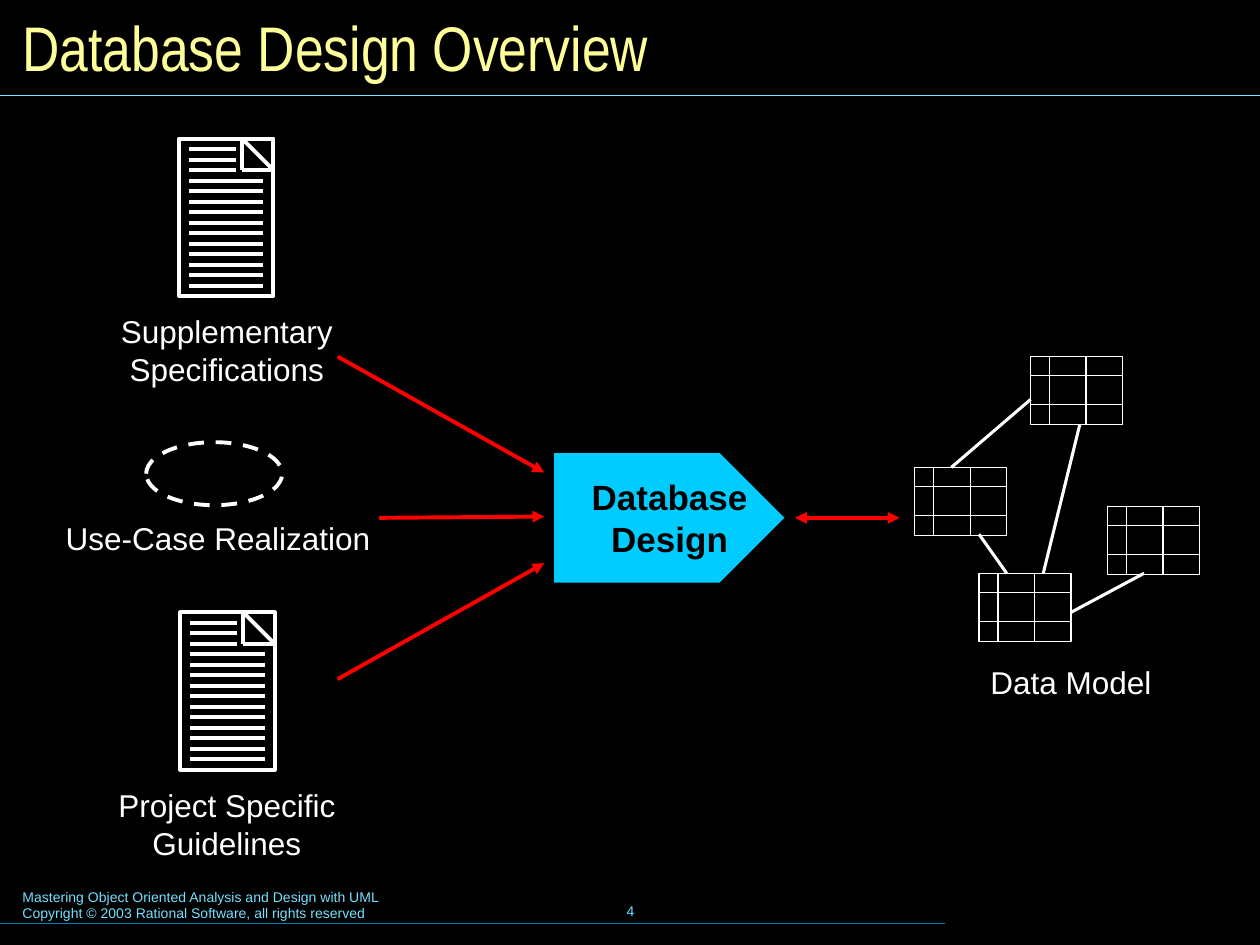
from lxml.etree import SubElement
from pptx import Presentation
from pptx.dml.color import RGBColor
from pptx.enum.dml import MSO_LINE
from pptx.enum.shapes import MSO_CONNECTOR, MSO_SHAPE
from pptx.enum.text import MSO_ANCHOR as ANCHOR, PP_ALIGN as ALIGN
from pptx.oxml.ns import qn
from pptx.util import Inches, Pt

COLORS = {
    "background": "000000", "title": "FFFF99", "footer": "73E1FF", "footer_rule": "007E9F",
    "ink": "FFFFFF", "process": "00CCFF", "process_ink": "000000", "flow": "FF0000",
}


def color(name):
    return RGBColor.from_string(COLORS[name])


class SlideBuilder:
    """Draws styled elements on the current slide or the current group."""

    def __init__(self, slide, font="Arial"):
        self.slide = slide
        self.font = font
        self.shapes = slide.shapes
        slide.background.fill.solid()
        slide.background.fill.fore_color.rgb = color("background")

    def start_group(self):
        self.shapes = self.slide.shapes.add_group_shape().shapes

    def end_group(self):
        self.shapes = self.slide.shapes

    def set_text(self, shape, lines, size, ink, align=ALIGN.LEFT, anchor=ANCHOR.TOP,
                 wrap=False, bold=False, font=None, inset=(0.1, 0.05)):
        frame = shape.text_frame
        frame.word_wrap = wrap
        frame.vertical_anchor = anchor
        frame.margin_left = frame.margin_right = Inches(inset[0])
        frame.margin_top = frame.margin_bottom = Inches(inset[1])
        for index, line in enumerate(lines):
            paragraph = frame.add_paragraph() if index else frame.paragraphs[0]
            paragraph.alignment = align
            for part_index, part in enumerate(line.split("\n")):
                if part_index:
                    paragraph.add_line_break()
                run = paragraph.add_run()
                run.text = part
                run.font.name = font or self.font
                run.font.size = Pt(size)
                run.font.bold = bold
                run.font.color.rgb = color(ink)

    def text(self, left, top, width, height, lines, size=18, ink="ink", **options):
        box = self.shapes.add_textbox(Inches(left), Inches(top), Inches(width), Inches(height))
        self.set_text(box, lines, size, ink, **options)

    def line(self, start, end, ink="ink", weight=2.25, arrows=()):
        points = [Inches(value) for value in (*start, *end)]
        connector = self.shapes.add_connector(MSO_CONNECTOR.STRAIGHT, *points)
        connector.line.color.rgb = color(ink)
        connector.line.width = Pt(weight)
        properties = connector._element.spPr
        for arrow in arrows:
            SubElement(properties.find(qn("a:ln")), qn(f"a:{arrow}"), type="triangle")
        SubElement(properties, qn("a:effectLst"))

    def outline(self, kind, left, top, width, height, weight=2.25, dash=None):
        shape = self.shapes.add_shape(
            kind, Inches(left), Inches(top), Inches(width), Inches(height))
        shape.shadow.inherit = False
        shape.fill.background()
        shape.line.color.rgb = color("ink")
        shape.line.width = Pt(weight)
        if dash:
            shape.line.dash_style = dash

    def document(self, left, top):
        width, height, fold = 0.75, 1.25, 0.25
        right, corner = left + width, left + width - fold
        self.outline(MSO_SHAPE.RECTANGLE, left, top, width, height)
        self.line((corner, top), (right, top + fold))
        self.line((corner, top), (corner, top + fold))
        self.line((right, top + fold), (corner, top + fold))
        for row in range(1, 15):
            y = top + row * height / 15
            end = left + (0.45 if row <= 3 else 0.67)
            self.line((left + 0.08, y), (end, y))

    def data_table(self, left, top):
        width, height = 0.73, 0.54
        self.outline(MSO_SHAPE.RECTANGLE, left, top, width, height, weight=0.75)
        for offset in (0.15, 0.38):
            y = top + offset
            self.line((left, y), (left + width, y), weight=0.75)
        for offset in (0.15, 0.44):
            x = left + offset
            self.line((x, top), (x, top + height), weight=0.75)

    def process(self, left, top, width, height, lines):
        middle, shoulder = height / 2, width - height / 2
        corners = [(shoulder, 0), (width, middle), (shoulder, height), (0, height)]
        builder = self.shapes.build_freeform(Inches(left), Inches(top))
        builder.add_line_segments(
            [(Inches(left + x), Inches(top + y)) for x, y in corners], close=True)
        shape = builder.convert_to_shape()
        shape.shadow.inherit = False
        shape.fill.solid()
        shape.fill.fore_color.rgb = color("process")
        shape.line.color.rgb = color("process_ink")
        shape.line.width = Pt(2.25)
        self.set_text(shape, lines, 20, "process_ink", align=ALIGN.CENTER,
                      anchor=ANCHOR.MIDDLE, bold=True)


def main():
    presentation = Presentation()
    presentation.slide_width, presentation.slide_height = Inches(10), Inches(7.5)
    builder = SlideBuilder(presentation.slides.add_slide(presentation.slide_layouts[6]))

    builder.text(0.08, 7, 5.1, 0.37, [
        "Mastering Object Oriented Analysis and Design with UML",
        "Copyright © 2003 Rational Software, all rights reserved",
    ], size=8, ink="footer", wrap=True)
    builder.text(3.42, 6.98, 3.17, 0.5, ["4"], size=8, ink="footer",
                 align=ALIGN.CENTER, anchor=ANCHOR.MIDDLE)
    builder.line((0, 7.33), (7.5, 7.33), "footer_rule", 0.75)
    builder.line((0, 0.76), (10, 0.76), "footer", 0.75)
    builder.text(0.08, 0.08, 9.84, 0.58, ["Database Design Overview"], size=36, ink="title",
                 anchor=ANCHOR.MIDDLE, wrap=True, font="Arial Narrow")

    documents = [
        ((1.42, 1.1), (0.86, 2.43, 1.88, 0.7), ["Supplementary", "Specifications"]),
        ((1.43, 4.86), (0.84, 6.19, 1.92, 0.7), ["Project Specific\nGuidelines"]),
    ]
    for corner, label_box, label in documents:
        builder.start_group()
        builder.document(*corner)
        builder.text(*label_box, label, align=ALIGN.CENTER)

    builder.start_group()
    builder.outline(MSO_SHAPE.OVAL, 1.16, 3.51, 1.08, 0.5, dash=MSO_LINE.DASH)
    builder.text(0.42, 4.07, 2.62, 0.4, ["Use-Case Realization"], align=ALIGN.CENTER)
    builder.end_group()

    builder.process(4.38, 3.58, 1.87, 1.06, ["Database", "Design"])

    builder.start_group()
    links = [
        ((8.57, 3.37), (8.28, 4.55)), ((8.5, 4.86), (9.08, 4.55)),
        ((7.99, 4.55), (7.77, 4.24)), ((7.55, 3.71), (8.18, 3.17)),
    ]
    for start, end in links:
        builder.line(start, end, weight=1.75)
    for corner in [(8.79, 4.02), (7.77, 4.55), (7.26, 3.71), (8.18, 2.83)]:
        builder.data_table(*corner)
    builder.end_group()
    builder.text(7.74, 5.2, 1.52, 0.42, ["Data Model"], inset=(0.12, 0.06))

    flows = [
        ((3.01, 4.11), (4.32, 4.1), ["tailEnd"]),
        ((6.31, 4.11), (7.14, 4.11), ["headEnd", "tailEnd"]),
        ((2.68, 2.83), (4.32, 3.75), ["tailEnd"]),
        ((2.68, 5.39), (4.32, 4.47), ["tailEnd"]),
    ]
    for start, end, arrows in flows:
        builder.line(start, end, "flow", arrows=arrows)

    presentation.save("out.pptx")


if __name__ == "__main__":
    main()
